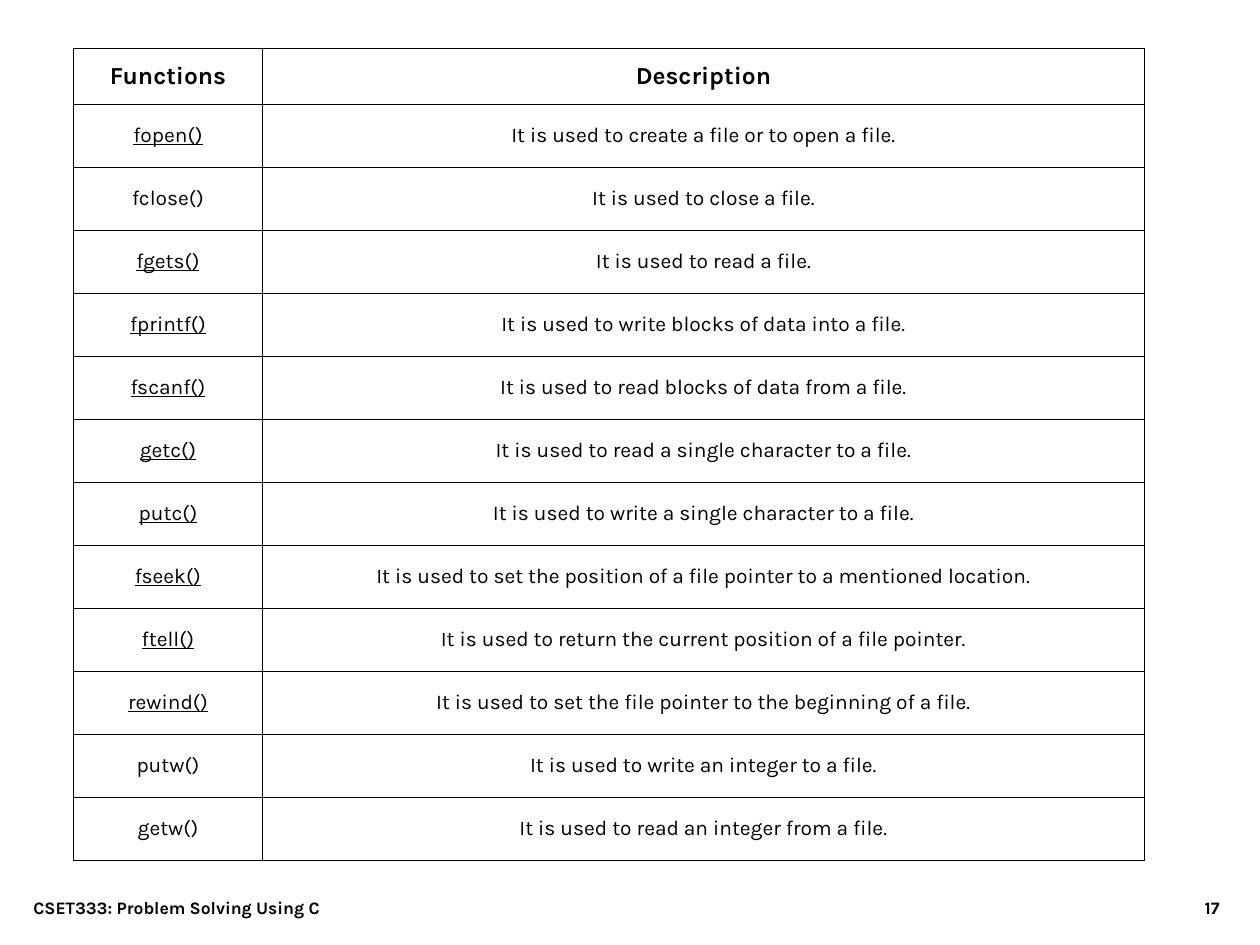
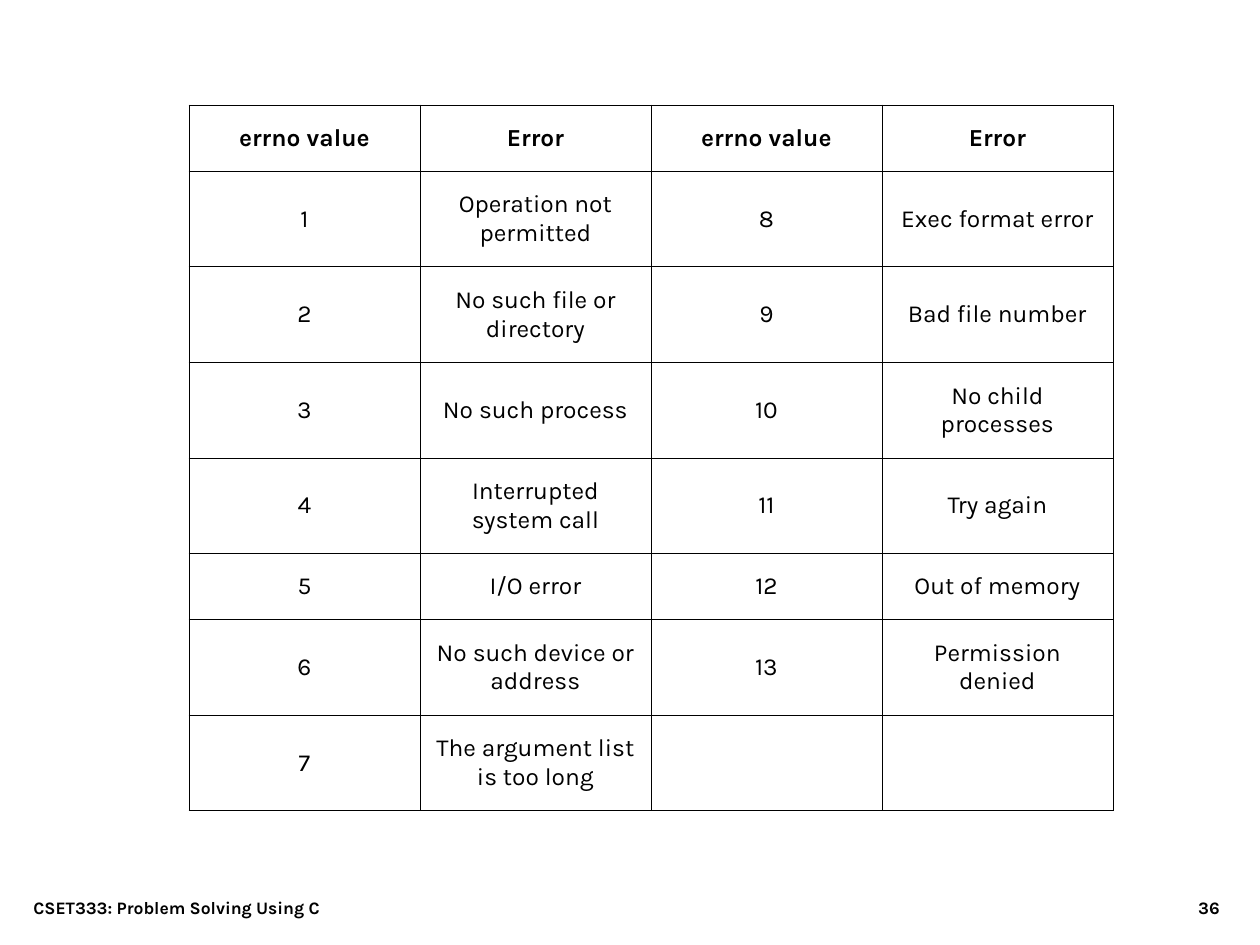
from lxml.etree import SubElement
from pptx import Presentation
from pptx.dml.color import RGBColor
from pptx.enum.text import MSO_ANCHOR, PP_ALIGN
from pptx.oxml.ns import qn
from pptx.util import Pt

INK = RGBColor(0x00, 0x00, 0x00)
FONT = "Karla"
COURSE = "CSET333: Problem Solving Using C"

CALLS = [
    ("Functions", "Description"),
    ("fopen()", "It is used to create a file or to open a file."),
    ("fclose()", "It is used to close a file."),
    ("fgets()", "It is used to read a file."),
    ("fprintf()", "It is used to write blocks of data into a file."),
    ("fscanf()", "It is used to read blocks of data from a file."),
    ("getc()", "It is used to read a single character to a file."),
    ("putc()", "It is used to write a single character to a file."),
    ("fseek()", "It is used to set the position of a file pointer to a mentioned location."),
    ("ftell()", "It is used to return the current position of a file pointer."),
    ("rewind()", "It is used to set the file pointer to the beginning of a file."),
    ("putw()", "It is used to write an integer to a file."),
    ("getw()", "It is used to read an integer from a file."),
]
LINKED = {"fopen()", "fgets()", "fprintf()", "fscanf()", "getc()", "putc()",
          "fseek()", "ftell()", "rewind()"}

ERRORS = [
    "Operation not permitted", "No such file or directory", "No such process",
    "Interrupted system call", "I/O error", "No such device or address",
    "The argument list is too long", "Exec format error", "Bad file number",
    "No child processes", "Try again", "Out of memory", "Permission denied",
]


def write(frame, text, size=12, bold=False, line=False, align=PP_ALIGN.CENTER):
    """Put one formatted paragraph into a text frame."""
    para = frame.paragraphs[0]
    para.alignment = align
    run = para.add_run()
    run.text = text
    font = run.font
    font.name, font.size, font.bold, font.underline = FONT, Pt(size), bold, line
    font.color.rgb = INK


class Deck:
    def __init__(self):
        self.prs = Presentation()
        self.prs.slide_width, self.prs.slide_height = Pt(720), Pt(540)
        self.slide = None

    def page(self, num):
        """Start a slide with its footer."""
        self.slide = self.prs.slides.add_slide(self.prs.slide_layouts[6])
        self.label(COURSE, 12, 408, PP_ALIGN.LEFT)
        self.label(str(num), 554, 150, PP_ALIGN.RIGHT)

    def label(self, text, left, width, align):
        box = self.slide.shapes.add_textbox(Pt(left), Pt(492), Pt(width), Pt(36))
        frame = box.text_frame
        frame.word_wrap = True
        frame.vertical_anchor = MSO_ANCHOR.BOTTOM
        write(frame, text, size=10, bold=True, align=align)

    def edge(self, cell):
        """Draw the four thin borders of a cell."""
        props = cell._tc.get_or_add_tcPr()
        for side in ("a:lnL", "a:lnR", "a:lnT", "a:lnB"):
            line = SubElement(props, qn(side), w=str(Pt(0.45)))
            fill = SubElement(line, qn("a:solidFill"))
            SubElement(fill, qn("a:srgbClr"), val=str(INK))

    def table(self, rows, left, top, widths, heights, size, lined=()):
        """Add a ruled table whose first row is the bold head."""
        grid = self.slide.shapes.add_table(
            len(rows), len(widths), Pt(left), Pt(top),
            Pt(sum(widths)), Pt(sum(heights))).table
        grid.first_row = grid.horz_banding = False
        for col, width in zip(grid.columns, widths):
            col.width = Pt(width)
        for r, (texts, height) in enumerate(zip(rows, heights)):
            grid.rows[r].height = Pt(height)
            for c, text in enumerate(texts):
                cell = grid.cell(r, c)
                cell.vertical_anchor = MSO_ANCHOR.MIDDLE
                self.edge(cell)
                cell.fill.background()
                if text:
                    write(cell.text_frame, text, size=size if r else 14,
                          bold=r == 0, line=text in lined)
        return grid


def main():
    deck = Deck()

    # File functions
    deck.page(17)
    grid = deck.table(CALLS, 42, 27.7, [108, 504],
                      [32] + [36] * (len(CALLS) - 1), 12, LINKED)
    head = grid.cell(0, 0)
    head.margin_left = head.margin_right = Pt(3)

    # Error numbers, in two halves side by side
    deck.page(36)
    pairs = [(str(n), text) for n, text in enumerate(ERRORS, 1)] + [("", "")]
    half = len(pairs) // 2
    rows = [("errno value", "Error") * 2]
    rows += [a + b for a, b in zip(pairs[:half], pairs[half:])]
    low, high = 37.8, 54.65
    heights = [low if row[0] in ("errno value", "5") else high for row in rows]
    deck.table(rows, 108, 60, [132] * 4, heights, 14)

    deck.prs.save("out.pptx")


if __name__ == "__main__":
    main()
